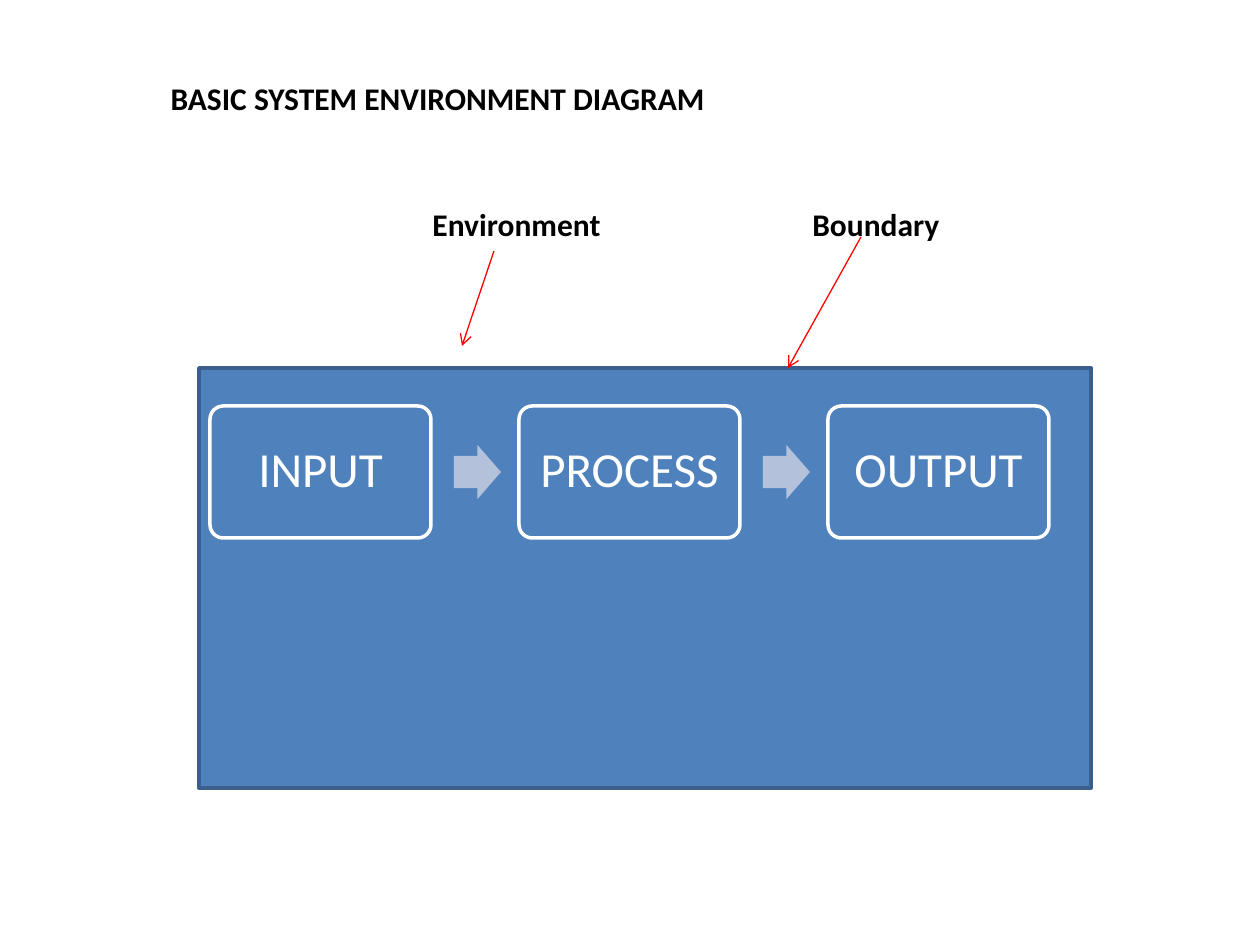
from lxml.etree import SubElement
from pptx import Presentation
from pptx.dml.color import RGBColor
from pptx.enum.shapes import MSO_CONNECTOR, MSO_SHAPE
from pptx.enum.text import MSO_ANCHOR, PP_ALIGN
from pptx.oxml.ns import qn
from pptx.util import Inches, Pt

SCALE = Inches(1) / 126
COLORS = {"panel": "4F81BD", "edge": "3A5F8C", "arrow": "B3C1DB",
          "white": "FFFFFF", "black": "000000", "pointer": "FF0000"}


def px(*values):
    """Turn pixel lengths into EMU."""
    return [round(v * SCALE) for v in values]


def rgb(name):
    """Look up a named colour."""
    return RGBColor.from_string(COLORS[name])


def set_text(s, text, size, color, bold, align, anchor):
    """Write one formatted paragraph into a shape."""
    tf = s.text_frame
    tf.text = text
    tf.vertical_anchor = anchor
    p = tf.paragraphs[0]
    p.alignment = align
    font = p.runs[0].font
    font.name, font.size, font.bold = "Calibri", Pt(size), bold
    font.color.rgb = rgb(color)
    return tf


def add_block(slide, kind, box, fill, line=None):
    """Add a filled preset shape, outlined if a line colour is given."""
    s = slide.shapes.add_shape(kind, *px(*box))
    s.shadow.inherit = False
    s.fill.solid()
    s.fill.fore_color.rgb = rgb(fill)
    if line:
        s.line.color.rgb = rgb(line)
        s.line.width = Pt(2)
    else:
        s.line.fill.background()
    return s


def add_title(slide, box):
    """Place and format the title placeholder."""
    s = slide.shapes.title
    s.left, s.top, s.width, s.height = px(*box)
    tf = set_text(s, "BASIC SYSTEM ENVIRONMENT DIAGRAM", 18, "black", True,
                  PP_ALIGN.JUSTIFY, MSO_ANCHOR.TOP)
    tf.word_wrap = True


def add_system(slide, box, steps):
    """Draw the system panel with its chain of steps and arrows."""
    left, top = box[:2]
    add_block(slide, MSO_SHAPE.RECTANGLE, box, "panel", "edge")
    for i, step in enumerate(steps):
        x, y = left + 11 + 309 * i, top + 38
        s = add_block(slide, MSO_SHAPE.ROUNDED_RECTANGLE, (x, y, 221, 132), "panel", "white")
        s.adjustments[0] = 0.1
        tf = set_text(s, step, 28, "white", False, PP_ALIGN.CENTER, MSO_ANCHOR.MIDDLE)
        tf.margin_left = tf.margin_right = px(15)[0]
        tf.word_wrap = True
        tf.paragraphs[0].line_spacing = 0.9
        if i < len(steps) - 1:
            arrow = add_block(slide, MSO_SHAPE.RIGHT_ARROW, (x + 244, y + 39, 47, 54), "arrow")
            arrow.adjustments[0] = 0.6


def add_callout(slide, box, text, start, end):
    """Add a label and its pointer, given relative to the label box."""
    left, top = box[:2]
    s = slide.shapes.add_textbox(*px(*box))
    tf = set_text(s, text, 18, "black", True, PP_ALIGN.LEFT, MSO_ANCHOR.TOP)
    tf.word_wrap = False
    line = slide.shapes.add_connector(
        MSO_CONNECTOR.STRAIGHT,
        *px(left + start[0], top + start[1], left + end[0], top + end[1]))
    line.line.color.rgb = rgb("pointer")
    line.line.width = Pt(0.75)
    SubElement(line.line._get_or_add_ln(), qn("a:tailEnd"), type="arrow")
    SubElement(line._element.spPr, qn("a:effectLst"))


prs = Presentation()
prs.slide_width, prs.slide_height = Inches(10), Inches(7.5)
slide = prs.slides.add_slide(prs.slide_layouts[5])
add_title(slide, (158, 73, 861, 89))
add_system(slide, (199, 368, 892, 420), ["INPUT", "PROCESS", "OUTPUT"])
add_callout(slide, (420, 199, 194, 50), "Environment", (74, 52), (42, 147))
add_callout(slide, (800, 199, 154, 50), "Boundary", (61, 38), (-12, 169))
prs.save("out.pptx")
